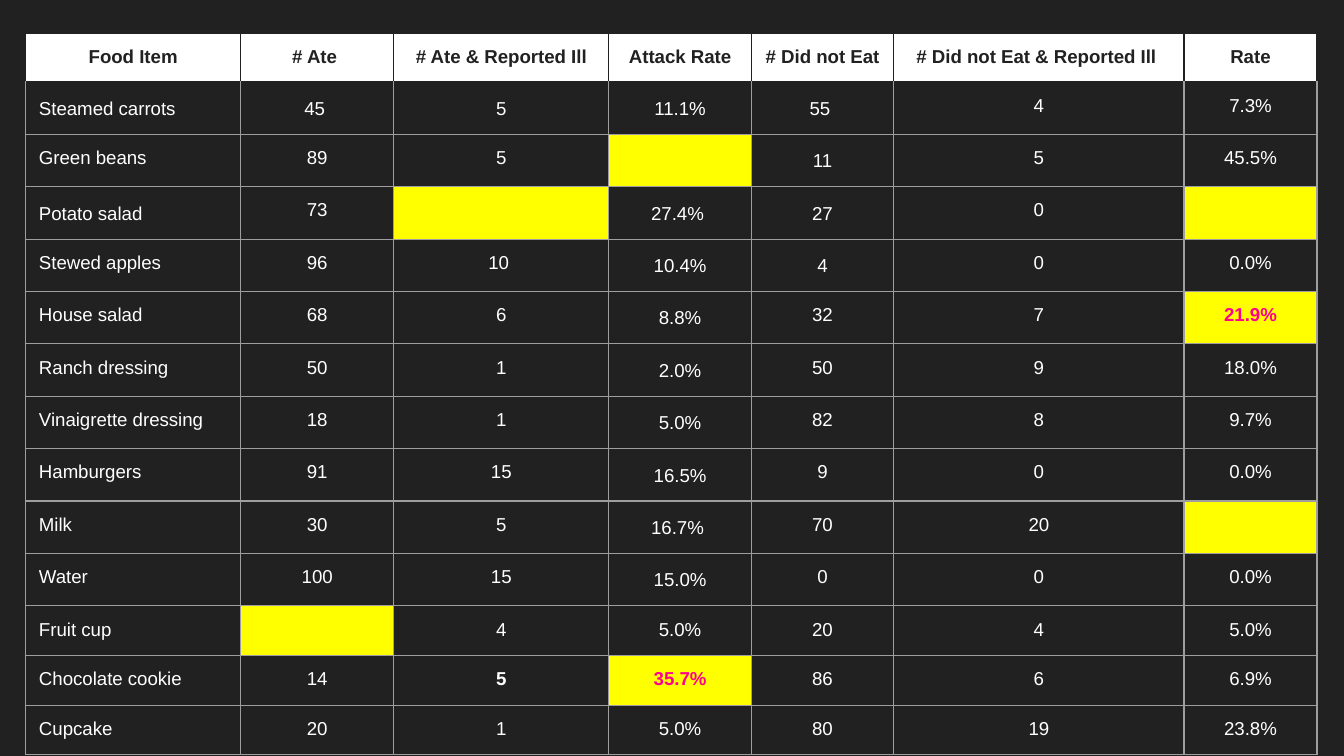
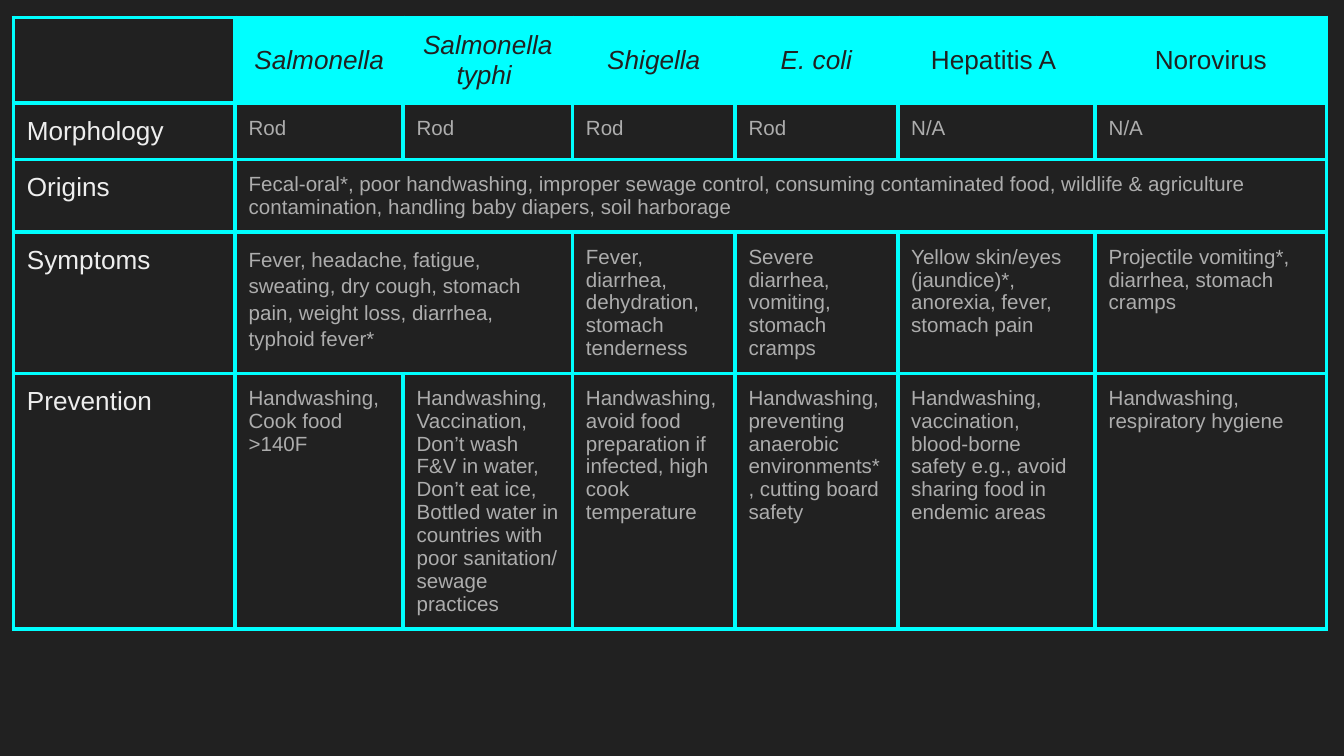
from lxml.etree import SubElement
from pptx import Presentation
from pptx.dml.color import RGBColor
from pptx.enum.text import MSO_ANCHOR, PP_ALIGN
from pptx.oxml.ns import qn
from pptx.util import Inches, Pt

COLORS = {
    "background": "212121", "white": "FFFFFF", "grid": "9E9E9E",
    "yellow": "FFFF00", "pink": "FF0091", "cyan": "00FFFF",
    "label": "EEEEEE", "body": "ADADAD",
}
FONT = "Arial"
MARGINS = ("margin_left", "margin_top", "margin_right", "margin_bottom")


def add_grid(slide, left, top, widths, heights):
    frame = slide.shapes.add_table(
        len(heights), len(widths), Inches(left), Inches(top),
        Inches(sum(widths)), Inches(sum(heights)))
    table = frame.table
    table.first_row = table.horz_banding = False
    for column, width in zip(table.columns, widths):
        column.width = Inches(width)
    for row, height in zip(table.rows, heights):
        row.height = Inches(height)
    return table


def format_cell(cell, text, size, color, borders, fill=None, align=PP_ALIGN.LEFT,
                spaced=False, **font_values):
    """Fill and style one cell; borders maps each side to (color name, points)."""
    properties = cell._tc.get_or_add_tcPr()
    for side in "LRTB":
        border_color, points = borders[side]
        line = SubElement(properties, qn(f"a:ln{side}"), w=str(Pt(points)))
        solid = SubElement(line, qn("a:solidFill"))
        SubElement(solid, qn("a:srgbClr"), val=COLORS[border_color])
    for margin in MARGINS:
        setattr(cell, margin, Inches(0.1))
    if fill:
        cell.fill.solid()
        cell.fill.fore_color.rgb = RGBColor.from_string(COLORS[fill])
    else:
        cell.fill.background()

    cell.text_frame.text = text
    for paragraph in cell.text_frame.paragraphs:
        paragraph.alignment = align
        if spaced:
            paragraph.line_spacing = 1.15
            paragraph.space_after = Pt(12)
        for run in paragraph.runs:
            run.font.color.rgb = RGBColor.from_string(COLORS[color])
            for name, value in {"name": FONT, "size": Pt(size), **font_values}.items():
                setattr(run.font, name, value)
        if not text:
            # An empty cell would otherwise take the height of 18 pt text
            SubElement(paragraph._p, qn("a:endParaRPr"), sz=str(size * 100))


presentation = Presentation()
presentation.slide_width = Inches(10)
presentation.slide_height = Inches(10 * 9 / 16)
slides = []
for _ in range(2):
    slide = presentation.slides.add_slide(presentation.slide_layouts[6])
    slide.background.fill.solid()
    slide.background.fill.fore_color.rgb = RGBColor.from_string(COLORS["background"])
    slides.append(slide)
attack_slide, pathogen_slide = slides

# Attack rates by food item
FOOD_ROWS = [
    ("Food Item", "# Ate ", "# Ate & Reported Ill", "Attack Rate",
     "# Did not Eat ", "# Did not Eat & Reported Ill ", "Rate"),
    ("Steamed carrots", "45 ", "5", "11.1%", "55 ", "4", "7.3%"),
    ("Green beans", "89", "5", "", "11", "5", "45.5%"),
    ("Potato salad", "73", "", "27.4% ", "27", "0", ""),
    ("Stewed apples", "96", "10 ", "10.4%", "4", "0", "0.0%"),
    ("House salad", "68", "6", "8.8%", "32", "7", "21.9%"),
    ("Ranch dressing", "50", "1", "2.0%", "50", "9", "18.0%"),
    ("Vinaigrette dressing", "18", "1", "5.0%", "82", "8", "9.7%"),
    ("Hamburgers", "91", "15", "16.5%", "9", "0", "0.0%"),
    ("Milk", "30", "5", "16.7% ", "70", "20", ""),
    ("Water", "100", "15", "15.0%", "0", "0", "0.0%"),
    ("Fruit cup", "", "4", "5.0%", "20", "4", "5.0%"),
    ("Chocolate cookie", "14", "5", "35.7%", "86", "6", "6.9%"),
    ("Cupcake", "20", "1", "5.0%", "80", "19", "23.8%"),
]
FOOD_HEIGHTS = [0.36] + [0.39] * 10 + [0.37] * 3
HIGHEST_RATES = {(5, 6), (12, 3)}
BOLD_COUNT = (12, 2)
# Cells set with wider line spacing
SPACED = ({(1, column) for column in range(5)}
          | {(row, 3) for row in range(1, 11)}
          | {(row, 4) for row in range(2, 5)} | {(3, 0)})

food_table = add_grid(attack_slide, 0.19, 0.25,
                      [1.6, 1.14, 1.6, 1.06, 1.06, 2.16, 0.99], FOOD_HEIGHTS)
for row, values in enumerate(FOOD_ROWS):
    header = row == 0
    borders = dict.fromkeys("LRTB", ("background" if header else "grid", 0.75))
    if row == 1:
        borders["T"] = ("background", 0.75)
    for column, text in enumerate(values):
        place = (row, column)
        highest = place in HIGHEST_RATES
        if header:
            color, fill = "background", "white"
        elif highest or not text:
            color, fill = "pink", "yellow"
        else:
            color, fill = "white", None
        format_cell(
            food_table.cell(row, column), text, 10, color, borders, fill,
            align=PP_ALIGN.CENTER if header or column else PP_ALIGN.LEFT,
            spaced=place in SPACED, bold=header or highest or place == BOLD_COUNT)

# Pathogen comparison; None continues the merged cell to its left
PATHOGEN_ROWS = [
    ("", "Salmonella", "Salmonella typhi ", "Shigella", "E. coli",
     "Hepatitis A ", "Norovirus"),
    ("Morphology", "Rod", "Rod", "Rod", "Rod", "N/A", "N/A"),
    ("Origins",
     "Fecal-oral*, poor handwashing, improper sewage control, consuming contaminated "
     "food, wildlife & agriculture contamination, handling baby diapers, soil harborage",
     None, None, None, None, None),
    ("Symptoms",
     "Fever, headache, fatigue, sweating, dry cough, stomach pain, weight loss, "
     "diarrhea, typhoid fever*",
     None,
     "Fever, diarrhea, dehydration, stomach tenderness",
     "Severe diarrhea, vomiting, stomach cramps",
     "Yellow skin/eyes (jaundice)*, anorexia, fever, stomach pain",
     "Projectile vomiting*, diarrhea, stomach cramps"),
    ("Prevention",
     "Handwashing,\nCook food >140F",
     "Handwashing,\nVaccination,\nDon’t wash F&V in water,\nDon’t eat ice,\n"
     "Bottled water in countries with poor sanitation/ sewage practices",
     "Handwashing, avoid food preparation if infected, high cook temperature",
     "Handwashing, preventing anaerobic environments*, cutting board safety",
     "Handwashing, vaccination, blood-borne safety e.g., avoid sharing food in "
     "endemic areas",
     "Handwashing, respiratory hygiene"),
]
BACTERIA_COLUMNS = range(1, 5)

pathogen_table = add_grid(pathogen_slide, 0.1, 0.13,
                          [1.65, 1.25, 1.26, 1.21, 1.21, 1.47, 1.72],
                          [0.42] * len(PATHOGEN_ROWS))
borders = dict.fromkeys("LRTB", ("cyan", 2.25))
for row, values in enumerate(PATHOGEN_ROWS):
    for column, text in enumerate(values):
        cell = pathogen_table.cell(row, column)
        if column == 0:
            format_cell(cell, text, 14, "label", borders)
        elif row == 0:
            format_cell(cell, text, 14, "background", borders, "cyan",
                        PP_ALIGN.CENTER, italic=column in BACTERIA_COLUMNS)
            cell.vertical_anchor = MSO_ANCHOR.MIDDLE
        else:
            spaced = values[0] == "Symptoms" and column == 1
            format_cell(cell, text or "", 11, "body", borders, spaced=spaced)
    merged = values.count(None)
    if merged:
        pathogen_table.cell(row, 1).merge(pathogen_table.cell(row, 1 + merged))

presentation.save("out.pptx")
